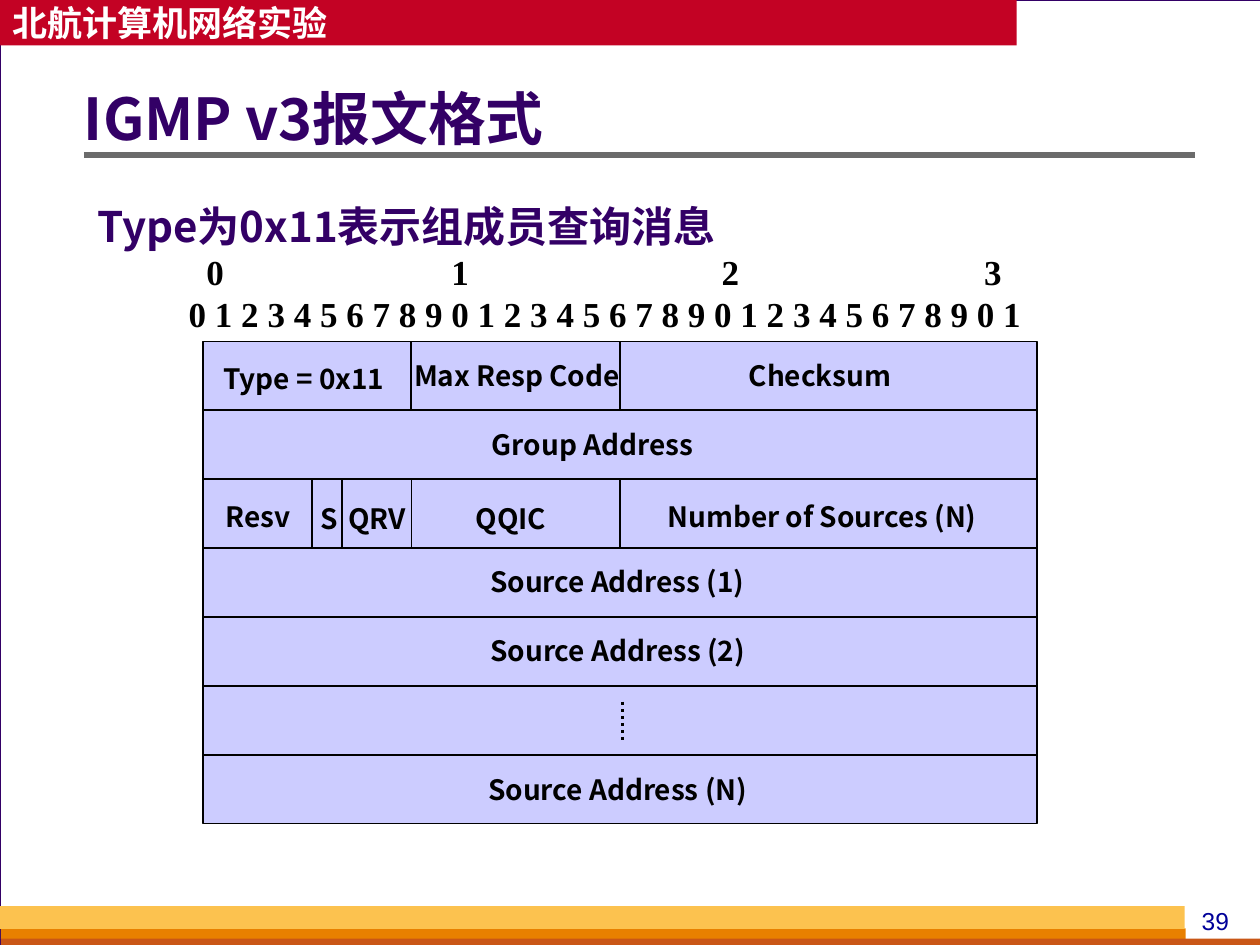
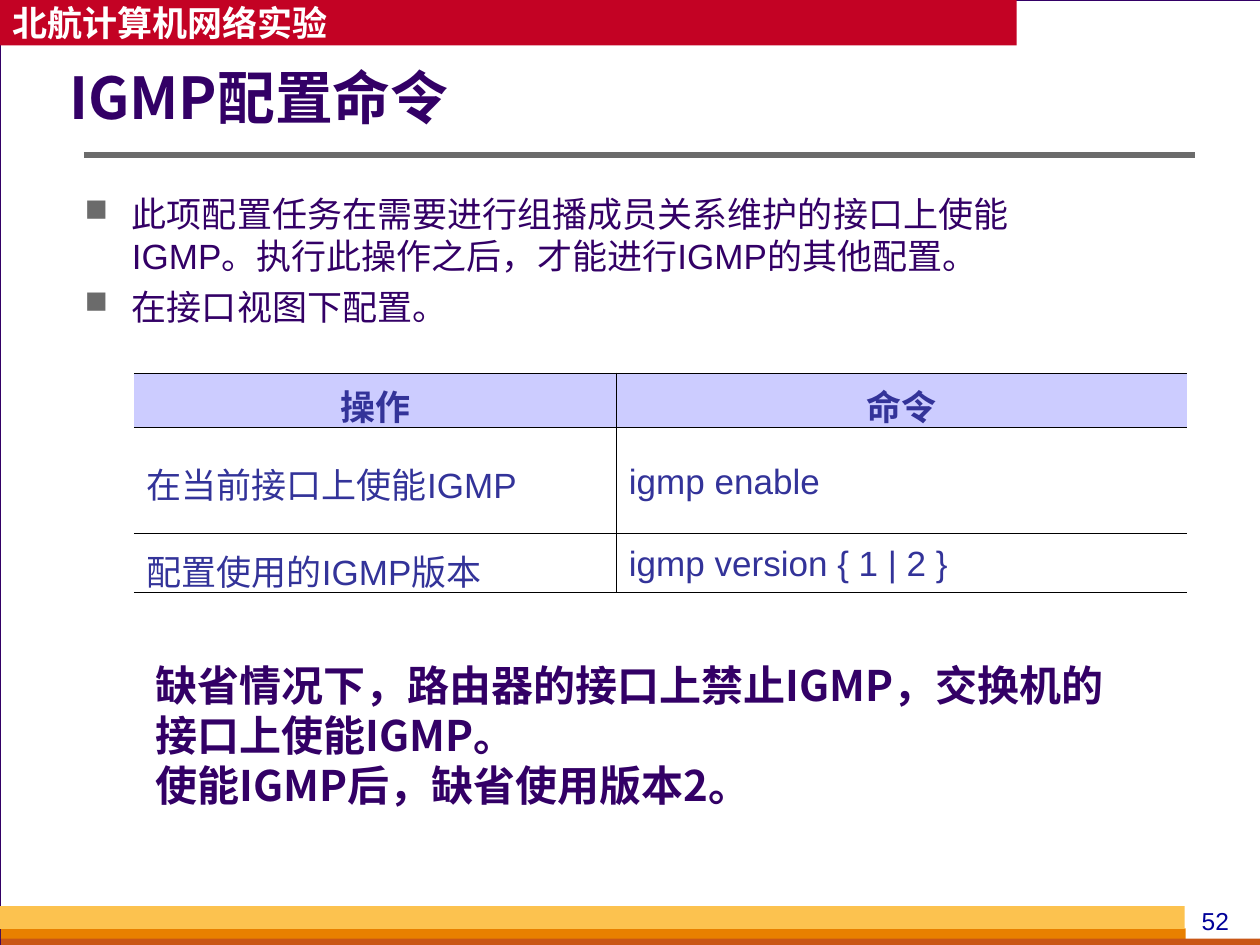
from dataclasses import dataclass
from typing import Optional

from lxml import etree
from pptx import Presentation
from pptx.dml.color import RGBColor
from pptx.enum.dml import MSO_LINE
from pptx.enum.shapes import MSO_CONNECTOR, MSO_SHAPE
from pptx.enum.text import MSO_ANCHOR as Anchor, PP_ALIGN as Align
from pptx.oxml.ns import qn
from pptx.util import Pt

WHITE = RGBColor(0xFF, 0xFF, 0xFF)
BLACK = RGBColor(0x00, 0x00, 0x00)
BACKDROP = RGBColor(0xD8, 0xDA, 0xDA)
PURPLE = RGBColor(0x33, 0x00, 0x66)
RED = RGBColor(0xC3, 0x02, 0x24)
ORANGE = RGBColor(0xE8, 0x80, 0x00)
RUST = RGBColor(0xC9, 0x56, 0x16)
YELLOW = RGBColor(0xFC, 0xC2, 0x4F)
GRAY = RGBColor(0x6B, 0x6B, 0x6B)
NAVY = RGBColor(0x00, 0x00, 0x99)
INDIGO = RGBColor(0x33, 0x33, 0x99)
LAVENDER = RGBColor(0xCC, 0xCC, 0xFF)

CJK, SANS, SERIF = "Noto Sans CJK SC", "Arial", "Times New Roman"

PACKET_LEFT, PACKET_TOP = 116, 195.1
BIT_WIDTH, ROW_HEIGHT = 14.89, 39.36


@dataclass(frozen=True)
class Box:
    left: float
    top: float
    width: float
    height: float

    def lengths(self) -> tuple:
        return Pt(self.left), Pt(self.top), Pt(self.width), Pt(self.height)


@dataclass(frozen=True)
class Band:
    box: Box
    fill: RGBColor
    line: Optional[RGBColor] = None


@dataclass(frozen=True)
class Field:
    row: int
    first_bit: float
    bits: float
    label: str = ""
    center: float = 0
    label_width: float = 0
    drop: float = 6.5


BANDS = [
    Band(Box(0, 0, 720.5, 540), WHITE, PURPLE),
    Band(Box(0.5, 530.6, 677, 6), ORANGE),
    Band(Box(0.5, 536.4, 720, 6), RUST),
    Band(Box(0, 517.8, 677, 13), YELLOW),
]

FIELDS = [
    Field(0, 0, 8, "Type = 0x11", 173.7, 130, 8),
    Field(0, 8, 8, "Max Resp Code", 295.4, 149),
    Field(0, 16, 16, "Checksum", 468.6, 101),
    Field(1, 0, 32, "Group Address", 338.6, 149),
    Field(2, 0, 4.2, "Resv", 147.4, 62, 8),
    Field(2, 4.2, 1.15, "S", 186.3, 21, 9),
    Field(2, 5.35, 2.65, "QRV", 215.5, 53, 9),
    Field(2, 8, 8, "QQIC", 292, 62, 9),
    Field(2, 16, 16, "Number of Sources (N)", 469.8, 216, 8),
    Field(3, 0, 32, "Source Address (1)", 352.8, 187, 6),
    Field(4, 0, 32, "Source Address (2)", 353, 187, 6),
    Field(5, 0, 32),
    Field(6, 0, 32, "Source Address (N)", 353, 187),
]

COMMANDS = [
    ("操作", "命令"),
    ("在当前接口上使能IGMP", "igmp enable"),
    ("配置使用的IGMP版本", "igmp version { 1 | 2 }"),
]


def write_text(frame, *lines: str, size: float, color: RGBColor, font: str = CJK,
               bold: bool = False, align=Align.LEFT, spacing: Optional[float] = None,
               gap: float = 0, bullet: str = "", tabs: tuple = ()) -> None:
    for index, line in enumerate(lines):
        paragraph = frame.add_paragraph() if index else frame.paragraphs[0]
        properties = paragraph._p.get_or_add_pPr()
        if bullet:
            add_bullet(properties, bullet)
        if tabs and "\t" in line:
            stops = etree.SubElement(properties, qn("a:tabLst"))
            for position in tabs:
                etree.SubElement(stops, qn("a:tab"), pos=str(Pt(position)), algn="ctr")
            paragraph.alignment = Align.LEFT
        else:
            paragraph.alignment = align
        if spacing:
            paragraph.line_spacing = spacing
        if index and gap:
            paragraph.space_before = Pt(gap)
        run = paragraph.add_run()
        run.text = line
        run.font.size, run.font.bold = Pt(size), bold
        run.font.color.rgb = color
        run.font.name = font
        etree.SubElement(run._r.get_or_add_rPr(), qn("a:ea"), typeface=CJK)


def add_bullet(properties, bullet: str) -> None:
    properties.set("marL", str(Pt(34.5)))
    properties.set("indent", str(Pt(-27)))
    color = etree.SubElement(properties, qn("a:buClr"))
    etree.SubElement(color, qn("a:srgbClr"), val=str(GRAY))
    etree.SubElement(properties, qn("a:buSzPct"), val="90000")
    etree.SubElement(properties, qn("a:buChar"), char=bullet)


def add_text(slide, box: Box, *lines: str, anchor=Anchor.TOP, wrap: bool = True,
             inset: float = 7.2, **text_format) -> None:
    frame = slide.shapes.add_textbox(*box.lengths()).text_frame
    frame.word_wrap = wrap
    frame.vertical_anchor = anchor
    frame.margin_left = Pt(inset)
    write_text(frame, *lines, **text_format)


def add_rectangle(slide, box: Box, fill: RGBColor, line: Optional[RGBColor] = None,
                  line_width: float = 0.75):
    shape = slide.shapes.add_shape(MSO_SHAPE.RECTANGLE, *box.lengths())
    shape.shadow.inherit = False
    shape.fill.solid()
    shape.fill.fore_color.rgb = fill
    if line is None:
        shape.line.fill.background()
    else:
        shape.line.color.rgb = line
        shape.line.width = Pt(line_width)
    return shape


def add_line(slide, start: tuple, end: tuple, color: RGBColor, width: float, dash=None) -> None:
    connector = slide.shapes.add_connector(
        MSO_CONNECTOR.STRAIGHT, *(Pt(value) for value in start + end))
    connector.line.color.rgb = color
    connector.line.width = Pt(width)
    if dash:
        connector.line.dash_style = dash
    etree.SubElement(connector._element.spPr, qn("a:effectLst"))


def add_slide(presentation, title: str, title_box: Box, number: int):
    slide = presentation.slides.add_slide(presentation.slide_layouts[6])
    slide.background.fill.solid()
    slide.background.fill.fore_color.rgb = BACKDROP
    for band in BANDS:
        add_rectangle(slide, band.box, band.fill, band.line)
    header = add_rectangle(slide, Box(0, 0, 581, 26), RED).text_frame
    header.word_wrap = False
    header.vertical_anchor = Anchor.MIDDLE
    write_text(header, "北航计算机网络实验", size=20, color=WHITE, bold=True)
    add_text(slide, Box(671.8, 514, 45.4, 24.5), str(number),
             size=14, color=NAVY, font=SANS, align=Align.CENTER)
    add_line(slide, (48, 88.5), (683, 88.5), GRAY, 3)
    add_text(slide, title_box, title, anchor=Anchor.MIDDLE, inset=0,
             size=33, color=PURPLE, bold=True, spacing=0.9)
    return slide


def add_field(slide, field: Field) -> None:
    top = PACKET_TOP + field.row * ROW_HEIGHT
    box = Box(PACKET_LEFT + field.first_bit * BIT_WIDTH, top,
              field.bits * BIT_WIDTH, ROW_HEIGHT)
    add_rectangle(slide, box, LAVENDER, BLACK, 1)
    if field.label:
        label_box = Box(field.center - field.label_width / 2, top + field.drop,
                        field.label_width, 26.6)
        add_text(slide, label_box, field.label, wrap=False,
                 size=16, color=BLACK, bold=True, align=Align.CENTER)


def set_borders(cell, **visible: bool) -> None:
    properties = cell._tc.get_or_add_tcPr()
    for side in "LRTB":
        border = etree.SubElement(properties, qn(f"a:ln{side}"), w=str(Pt(0.45)))
        if visible.get(side):
            fill = etree.SubElement(border, qn("a:solidFill"))
            etree.SubElement(fill, qn("a:srgbClr"), val=str(BLACK))
        else:
            etree.SubElement(border, qn("a:noFill"))


def add_command_table(slide) -> None:
    box = Box(76.5, 213.2, 601.8, 125.2)
    table = slide.shapes.add_table(len(COMMANDS), 2, *box.lengths()).table
    table.first_row = table.horz_banding = False
    for column, width in zip(table.columns, (275.7, 326.1)):
        column.width = Pt(width)
    for row, height in zip(table.rows, (31.2, 60.2, 33.8)):
        row.height = Pt(height)
    for row_index, texts in enumerate(COMMANDS):
        heading = row_index == 0
        for column_index, text in enumerate(texts):
            cell = table.cell(row_index, column_index)
            cell.vertical_anchor = Anchor.MIDDLE
            set_borders(cell, T=True, B=True, L=column_index == 1, R=column_index == 0)
            if heading:
                cell.fill.solid()
                cell.fill.fore_color.rgb = LAVENDER
            else:
                cell.fill.background()
            write_text(cell.text_frame, text, size=20, color=INDIGO, font=SANS, bold=heading,
                       align=Align.CENTER if heading else Align.LEFT,
                       spacing=None if heading else 1.1)


def build_packet_slide(presentation) -> None:
    slide = add_slide(presentation, "IGMP v3报文格式", Box(48, 33, 635, 73), 39)
    add_text(slide, Box(37.4, 111, 390, 36), "Type为0x11表示组成员查询消息", wrap=False,
             size=24, color=PURPLE, bold=True, align=Align.CENTER)
    for field in FIELDS:
        add_field(slide, field)
    add_line(slide, (355.7, 401), (355.7, 423.4), BLACK, 2, MSO_LINE.ROUND_DOT)
    bit_digits = " ".join(str(bit % 10) for bit in range(32))
    add_text(slide, Box(87.8, 139.7, 516, 55.4), "\t0\t1\t2\t3", bit_digits,
             anchor=Anchor.MIDDLE, size=20, color=BLACK, font=SERIF, bold=True,
             align=Align.CENTER, tabs=(28, 168, 322.5, 472.5))


def build_command_slide(presentation) -> None:
    slide = add_slide(presentation, "IGMP配置命令", Box(39.6, 33.8, 570, 48), 52)
    add_text(slide, Box(33.8, 106.6, 616, 85),
             "此项配置任务在需要进行组播成员关系维护的接口上使能IGMP。执行此操作之后，才能进行IGMP的其他配置。",
             "在接口视图下配置。",
             size=20, color=PURPLE, font=SANS, gap=5, bullet="■")
    add_text(slide, Box(82, 373, 567.4, 93.6),
             "缺省情况下，路由器的接口上禁止IGMP，交换机的接口上使能IGMP。",
             "使能IGMP后，缺省使用版本2。",
             anchor=Anchor.MIDDLE, size=24, color=PURPLE, bold=True)
    add_command_table(slide)


def main() -> None:
    presentation = Presentation()
    presentation.slide_width, presentation.slide_height = Pt(720), Pt(540)
    build_packet_slide(presentation)
    build_command_slide(presentation)
    presentation.save("out.pptx")


if __name__ == "__main__":
    main()
